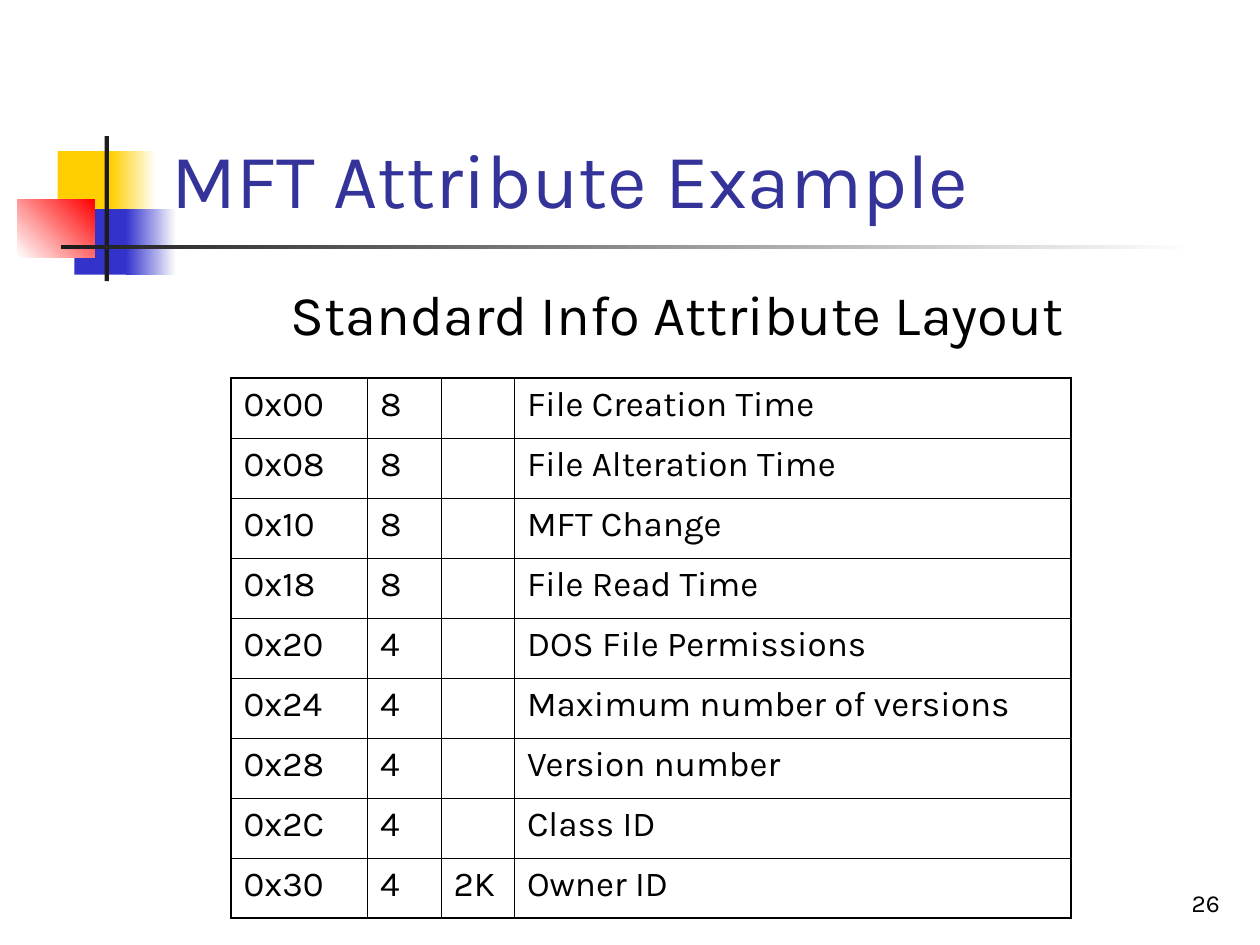
from lxml.etree import SubElement
from pptx import Presentation
from pptx.dml.color import RGBColor
from pptx.enum.shapes import MSO_SHAPE
from pptx.enum.text import MSO_ANCHOR, MSO_AUTO_SIZE, PP_ALIGN
from pptx.oxml.ns import qn
from pptx.util import Pt

FONT = "Karla"
COLORS = {
    "title": "333399", "text": "000000", "yellow": "FFCF01", "blue": "3333CC",
    "red": "FF0000", "bar": "1C1C1C", "white": "FFFFFF",
}
COLUMNS = [78, 42, 42, 318]
ROWS = [
    ("0x00", "8", "", "File Creation Time"),
    ("0x08", "8", "", "File Alteration Time"),
    ("0x10", "8", "", "MFT Change"),
    ("0x18", "8", "", "File Read Time"),
    ("0x20", "4", "", "DOS File Permissions"),
    ("0x24", "4", "", "Maximum number of versions"),
    ("0x28", "4", "", "Version number"),
    ("0x2C", "4", "", "Class ID"),
    ("0x30", "4", "2K", "Owner ID"),
]
# Ornament parts: offset from its corner, size, start and end colour, angle
ORNAMENT = [
    (23, 8.6, 34.6, 37.4, "yellow", None, 0),
    (53.4, 8.6, 25.9, 37.4, "yellow", "white", 0),
    (32.5, 41.7, 33.1, 37.4, "blue", None, 0),
    (62, 41.7, 28.8, 37.4, "blue", "white", 0),
    (0, 36, 44, 33.1, "white", "red", 45),
    (49.8, 0, 2.5, 82.8, "bar", None, 0),
    (24.6, 62.2, 648, 2.5, "bar", "white", 0),
]


def rgb(name):
    return RGBColor.from_string(COLORS[name])


def format_text(p, size, color="text", align=PP_ALIGN.LEFT):
    p.alignment = align
    p.font.name = FONT
    p.font.size = Pt(size)
    p.font.color.rgb = rgb(color)


def place(sp, box):
    sp.left, sp.top, sp.width, sp.height = (Pt(v) for v in box)


def add_ornament(s, left, top):
    for dx, dy, width, height, start, end, angle in ORNAMENT:
        sp = s.shapes.add_shape(MSO_SHAPE.RECTANGLE, Pt(left + dx), Pt(top + dy),
                                Pt(width), Pt(height))
        sp.shadow.inherit = False
        sp.line.fill.background()
        if end is None:
            sp.fill.solid()
            sp.fill.fore_color.rgb = rgb(start)
        else:
            sp.fill.gradient()
            sp.fill.gradient_angle = angle
            for stop, color in zip(sp.fill.gradient_stops, (start, end)):
                stop.color.rgb = rgb(color)


def add_title(s, box, text):
    sp = s.shapes.title
    place(sp, box)
    tf = sp.text_frame
    tf.text = text
    tf.auto_size = MSO_AUTO_SIZE.NONE
    tf.vertical_anchor = MSO_ANCHOR.BOTTOM
    format_text(tf.paragraphs[0], 44, "title")


def add_text(s, box, text, size, align, anchor=MSO_ANCHOR.TOP):
    tf = s.shapes.add_textbox(*(Pt(v) for v in box)).text_frame
    tf.word_wrap = True
    tf.vertical_anchor = anchor
    tf.text = text
    format_text(tf.paragraphs[0], size, align=align)


def set_borders(cell, widths):
    """Draw the left, right, top and bottom edges, ahead of the cell fill."""
    tc_pr = cell._tc.get_or_add_tcPr()
    for i, (side, width) in enumerate(zip("LRTB", widths)):
        ln = SubElement(tc_pr, qn(f"a:ln{side}"), w=str(Pt(width)))
        fill = SubElement(ln, qn("a:solidFill"))
        SubElement(fill, qn("a:srgbClr"), val=COLORS["text"])
        tc_pr.insert(i, ln)


def add_layout_table(s, box, outer=1.08, inner=0.45):
    table = s.shapes.add_table(len(ROWS), len(COLUMNS), *(Pt(v) for v in box)).table
    table.first_row = table.horz_banding = False
    for column, width in zip(table.columns, COLUMNS):
        column.width = Pt(width)
    last_row, last_col = len(ROWS) - 1, len(COLUMNS) - 1
    for r, values in enumerate(ROWS):
        table.rows[r].height = Pt(box[3] / len(ROWS))
        for c, value in enumerate(values):
            cell = table.cell(r, c)
            cell.text = value
            format_text(cell.text_frame.paragraphs[0], 20)
            cell.fill.background()
            on_edge = (c == 0, c == last_col, r == 0, r == last_row)
            set_borders(cell, [outer if edge else inner for edge in on_edge])


def main():
    prs = Presentation()
    prs.slide_width, prs.slide_height = Pt(720), Pt(540)
    s = prs.slides.add_slide(prs.slide_layouts[5])

    # Decoration and title
    add_ornament(s, 10, 77.8)
    add_title(s, (90.7, 16.6, 613.4, 115.2), "MFT Attribute Example")

    # Slide number
    add_text(s, (554.4, 491.8, 149.8, 36), "26", 14, PP_ALIGN.RIGHT, MSO_ANCHOR.BOTTOM)

    # Attribute table and its heading
    add_layout_table(s, (132, 216, 480, 308.7))
    add_text(s, (84.2, 156.2, 606.2, 46), "Standard Info Attribute Layout", 32,
             PP_ALIGN.CENTER)

    prs.save("out.pptx")


if __name__ == "__main__":
    main()
